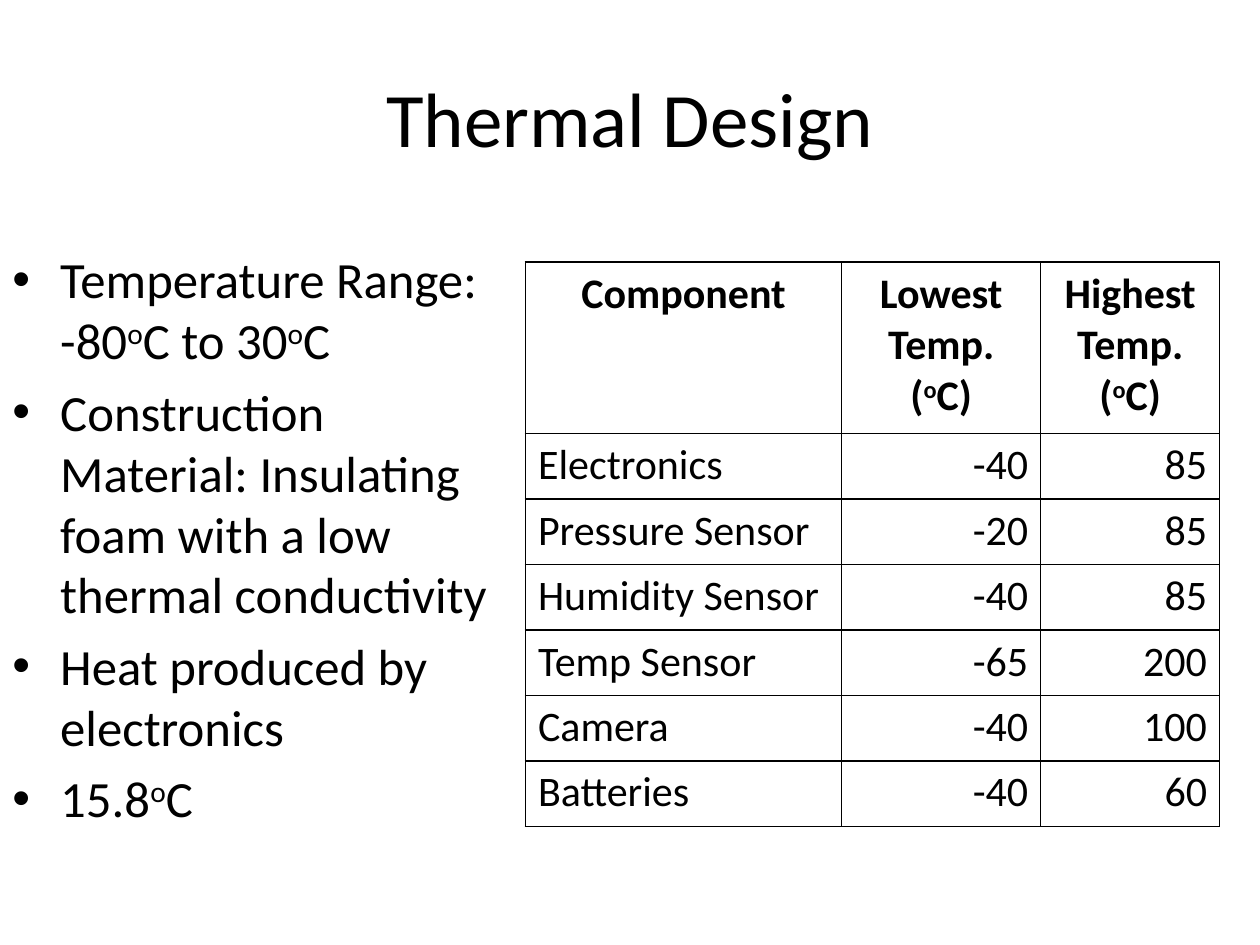
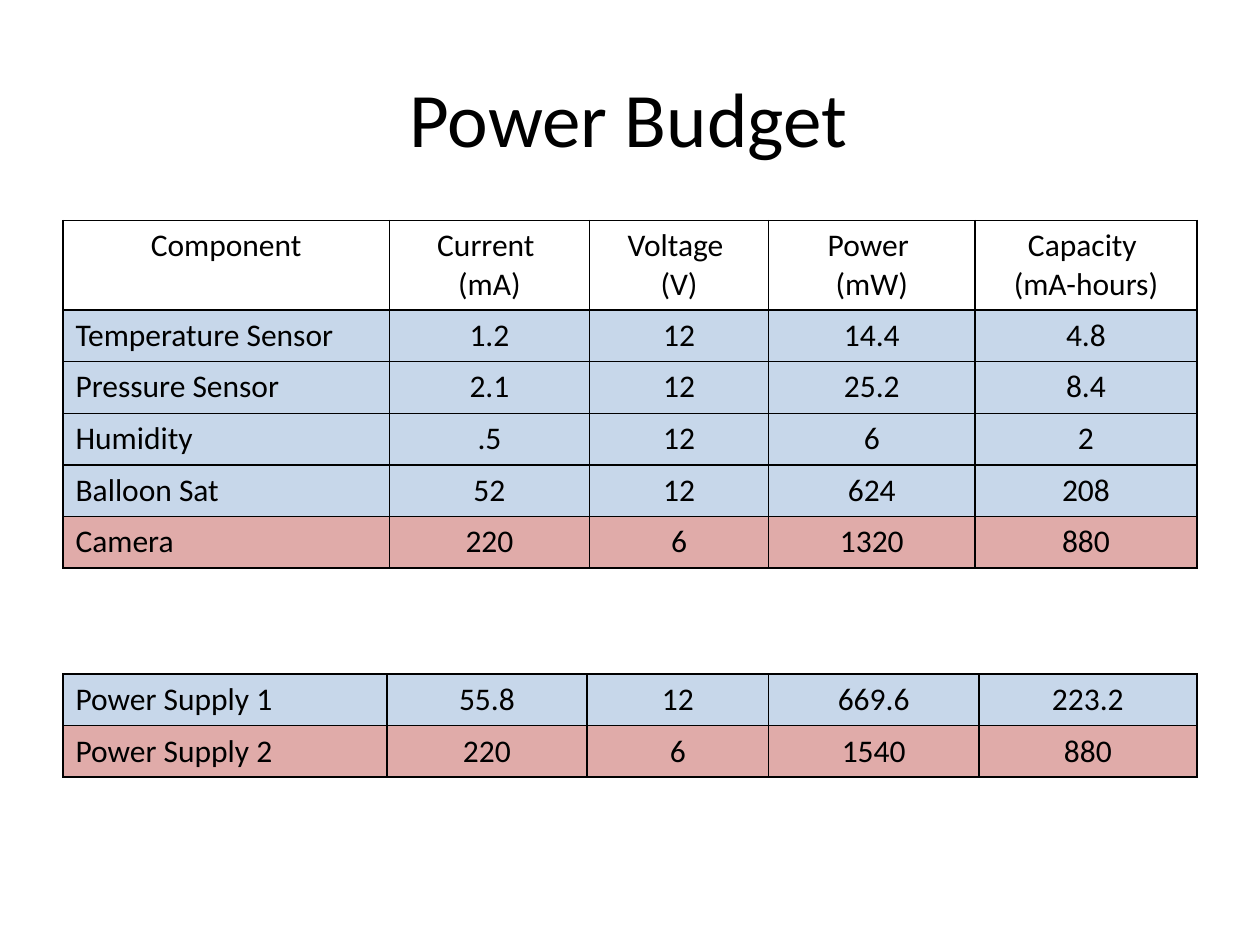
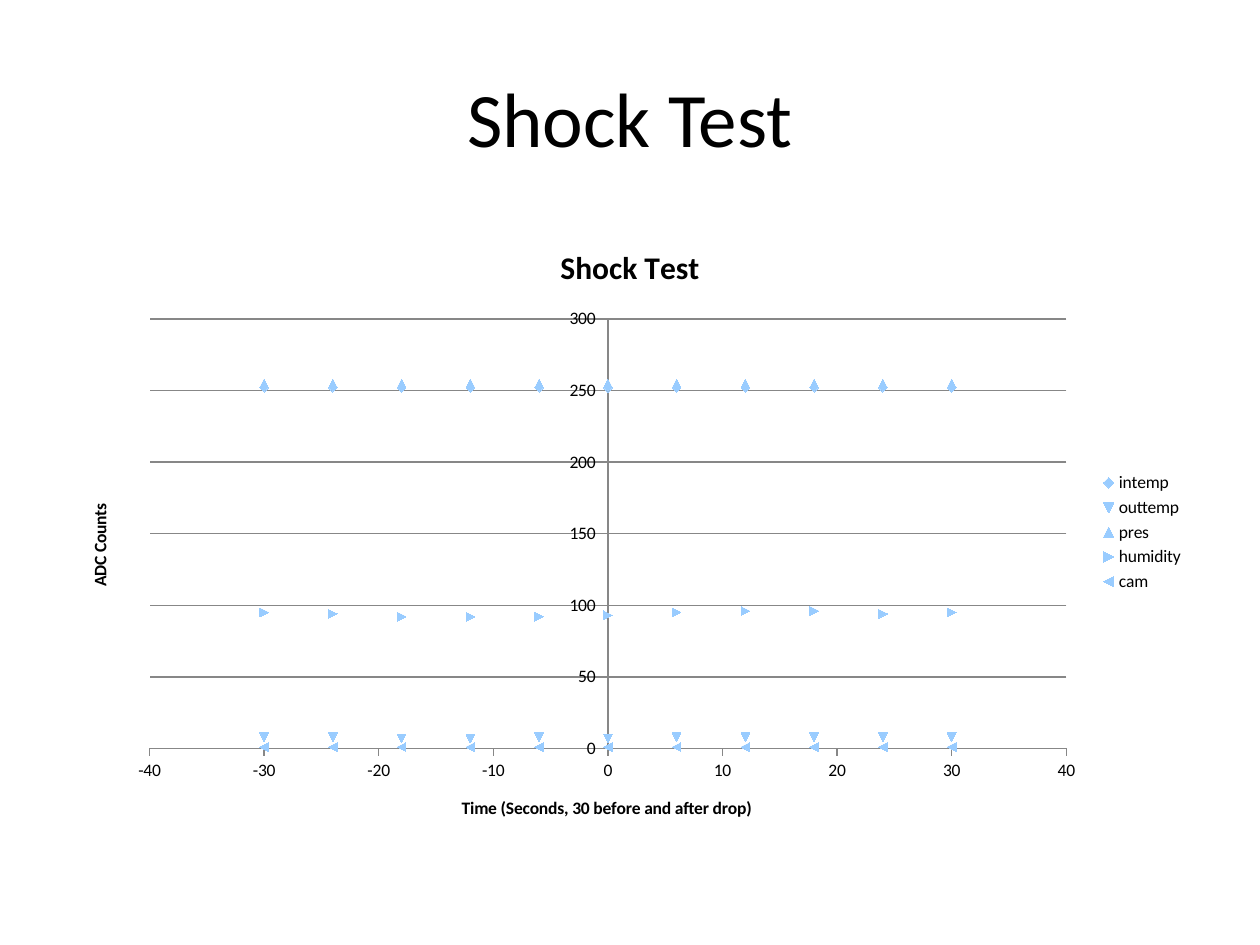
from lxml.etree import SubElement
from pptx import Presentation
from pptx.chart.data import XyChartData
from pptx.dml.color import RGBColor
from pptx.enum.chart import XL_CHART_TYPE, XL_LEGEND_POSITION, XL_MARKER_STYLE, XL_TICK_MARK
from pptx.enum.text import MSO_ANCHOR, PP_ALIGN
from pptx.oxml import parse_xml
from pptx.oxml.ns import nsdecls, qn
from pptx.util import Pt

PX = 9144
FONT = "Calibri"
BLACK, GRID, MARKER = "000000", "878787", "99CCFF"
BLUE, RED = "B9CDE5", "D99694"
LEFT, CENTER, RIGHT = PP_ALIGN.LEFT, PP_ALIGN.CENTER, PP_ALIGN.RIGHT

THERMAL_POINTS = [
    "Temperature Range: -80^o^C to 30^o^C",
    "Construction Material: Insulating foam with a low thermal conductivity",
    "Heat produced by electronics",
    "15.8^o^C",
]
THERMAL_ROWS = [
    ["Component", "Lowest Temp.\n(^o^C)", "Highest Temp.\n(^o^C)"],
    ["Electronics", "-40", "85"],
    ["Pressure Sensor", "-20", "85"],
    ["Humidity Sensor", "-40", "85"],
    ["Temp Sensor", "-65", "200"],
    ["Camera", "-40", "100"],
    ["Batteries", "-40", "60"],
]
POWER_ROWS = [
    ["Component", "Current \n(mA)", "Voltage \n(V)", "Power \n(mW)", "Capacity \n(mA-hours)"],
    ["Temperature Sensor", "1.2", "12", "14.4", "4.8"],
    ["Pressure Sensor", "2.1", "12", "25.2", "8.4"],
    ["Humidity", ".5", "12", "6", "2"],
    ["Balloon Sat", "52", "12", "624", "208"],
    ["Camera", "220", "6", "1320", "880"],
]
SUPPLY_ROWS = [
    ["Power Supply 1", "55.8", "12", "669.6", "223.2"],
    ["Power Supply 2", "220", "6", "1540", "880"],
]
SHOCK_TIMES = range(-30, 31, 6)
SHOCK_SERIES = {
    "intemp": [252] * 11,
    "outtemp": [8, 8, 7, 7, 8, 7, 8, 8, 8, 8, 8],
    "pres": [255] * 11,
    "humidity": [95, 94, 92, 92, 92, 93, 95, 96, 96, 94, 95],
    "cam": [1] * 11,
}


def px(*values):
    """Turn pixel lengths into EMU."""
    return [value * PX for value in values]


def rgb(value):
    """Turn a hex string into a colour."""
    return RGBColor.from_string(value)


def style_font(font, size, bold=False):
    """Apply the shared typeface and text colour."""
    font.name, font.size, font.bold = FONT, Pt(size), bold
    font.color.rgb = rgb(BLACK)


def add_runs(p, text, size, bold=False):
    """Add runs, raising every second part between carets."""
    for index, part in enumerate(text.split("^")):
        r = p.add_run()
        r.text = part
        style_font(r.font, size, bold)
        if index % 2:
            r.font._element.set("baseline", "30000")


def add_slide(prs, title):
    """Add a title-only slide with the shared title style."""
    s = prs.slides.add_slide(prs.slide_layouts[5])
    sp = s.shapes.title
    sp.left, sp.top, sp.width, sp.height = px(50, 30, 900, 125)
    tf = sp.text_frame
    tf.vertical_anchor = MSO_ANCHOR.MIDDLE
    p = tf.paragraphs[0]
    p.alignment = CENTER
    add_runs(p, title, 44)
    return s


def add_bullets(s, box, points, size):
    """Add a bulleted text box."""
    tf = s.shapes.add_textbox(*px(*box)).text_frame
    tf.word_wrap = True
    for index, point in enumerate(points):
        p = tf.add_paragraph() if index else tf.paragraphs[0]
        p.space_before = Pt(6 if index else 0)
        pPr = p._p.get_or_add_pPr()
        pPr.set("marL", str(38 * PX))
        pPr.set("indent", str(-38 * PX))
        SubElement(pPr, qn("a:buFont"), typeface="Arial")
        SubElement(pPr, qn("a:buChar"), char="•")
        add_runs(p, point, size)


def style_cell(cell, fill):
    """Give a cell black borders and an optional translucent fill."""
    tcPr = cell._tc.get_or_add_tcPr()
    if fill:
        cell.fill.solid()
        cell.fill.fore_color.rgb = rgb(fill)
        SubElement(tcPr.find(".//" + qn("a:srgbClr")), qn("a:alpha"), val="80000")
    else:
        cell.fill.background()
    for index, side in enumerate("LRTB"):
        tcPr.insert(index, parse_xml(
            f'<a:ln{side} {nsdecls("a")} w="12700"><a:solidFill>'
            f'<a:srgbClr val="{BLACK}"/></a:solidFill></a:ln{side}>'))


def add_grid(s, left, top, widths, heights, rows, size, align, fills, header=True, bold=False):
    """Add a bordered table with centred headings."""
    box = px(left, top, sum(widths), sum(heights))
    table = s.shapes.add_table(len(rows), len(widths), *box).table
    table.first_row = table.horz_banding = False
    for column, width in zip(table.columns, widths):
        column.width = width * PX
    for i, (texts, height, fill) in enumerate(zip(rows, heights, fills)):
        table.rows[i].height = height * PX
        heading = header and i == 0
        for j, text in enumerate(texts):
            cell = table.cell(i, j)
            style_cell(cell, fill)
            tf = cell.text_frame
            for k, line in enumerate(text.split("\n")):
                p = tf.add_paragraph() if k else tf.paragraphs[0]
                p.alignment = CENTER if heading else align if j else LEFT
                add_runs(p, line, size, bold and heading)


def add_chart_title(owner, text, size):
    """Title a chart or an axis in bold."""
    tf = (owner.chart_title if hasattr(owner, "chart_title") else owner.axis_title).text_frame
    add_runs(tf.paragraphs[0], text, size, True)


def style_axis(axis, title, low, high, unit):
    """Set the scale, title and line of an axis."""
    axis.minimum_scale, axis.maximum_scale, axis.major_unit = low, high, unit
    axis.major_tick_mark = XL_TICK_MARK.OUTSIDE
    axis.minor_tick_mark = XL_TICK_MARK.NONE
    axis.format.line.color.rgb = rgb(GRID)
    add_chart_title(axis, title, 10)


def add_scatter(s, box, title, times, series):
    """Add a scatter chart with markers only."""
    data = XyChartData()
    for name, counts in series.items():
        points = data.add_series(name)
        for time, count in zip(times, counts):
            points.add_data_point(time, count)
    chart = s.shapes.add_chart(XL_CHART_TYPE.XY_SCATTER, *px(*box), data).chart
    style_font(chart.font, 10)
    add_chart_title(chart, title, 18)
    chart.has_legend = True
    chart.legend.position = XL_LEGEND_POSITION.RIGHT
    chart.legend.include_in_layout = False
    style_axis(chart.category_axis, "Time (Seconds, 30 before and after drop)", -40, 40, 10)
    style_axis(chart.value_axis, "ADC Counts", 0, 300, 50)
    chart.category_axis.has_major_gridlines = False
    chart.value_axis.has_major_gridlines = True
    chart.value_axis.major_gridlines.format.line.color.rgb = rgb(GRID)
    plot = chart.plots[0]
    plot.vary_by_categories = False
    for line in plot.series:
        line.format.line.fill.background()
        line.marker.style = XL_MARKER_STYLE.AUTOMATIC
        line.marker.format.fill.solid()
        line.marker.format.fill.fore_color.rgb = rgb(MARKER)
        line.marker.format.line.color.rgb = rgb(MARKER)


def main():
    """Build the three slides."""
    prs = Presentation()
    prs.slide_width, prs.slide_height = px(1000, 750)

    s = add_slide(prs, "Thermal Design")
    add_bullets(s, (0, 192, 400, 495), THERMAL_POINTS, 29)
    add_grid(s, 417, 208, [251, 158, 142], [136] + [52] * 6, THERMAL_ROWS, 24, RIGHT,
             [None] * 7, bold=True)

    s = add_slide(prs, "Power Budget\t")
    add_grid(s, 50, 175, [259, 159, 142, 164, 176], [71] + [41] * 5, POWER_ROWS, 18, CENTER,
             [None] + [BLUE] * 4 + [RED])
    add_grid(s, 50, 535, [257, 159, 144, 167, 173], [41, 40], SUPPLY_ROWS, 18, CENTER,
             [BLUE, RED], header=False)

    s = add_slide(prs, "Shock Test")
    add_scatter(s, (50, 175, 900, 495), "Shock Test", SHOCK_TIMES, SHOCK_SERIES)

    prs.save("out.pptx")


if __name__ == "__main__":
    main()
